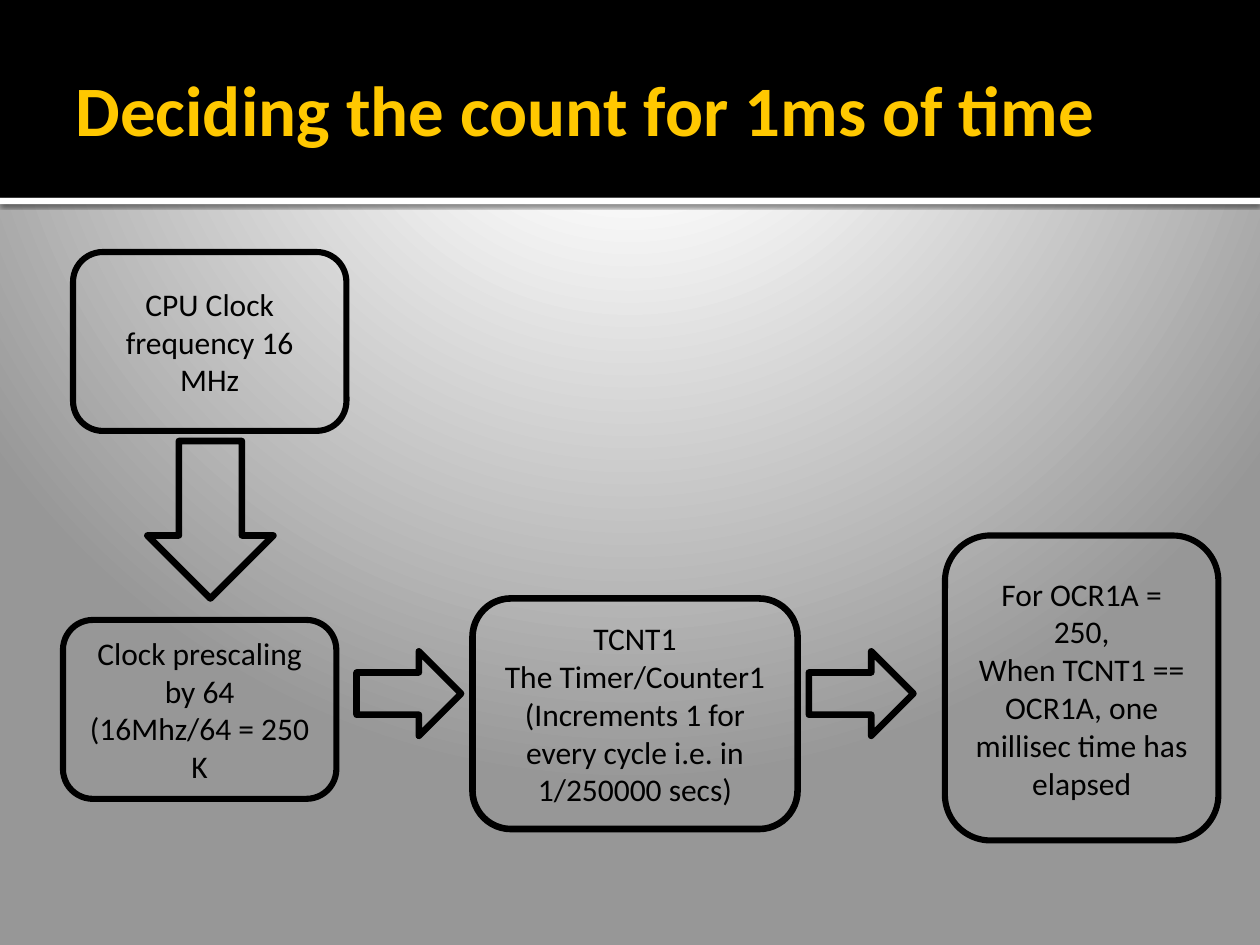
from pptx import Presentation
from pptx.dml.color import RGBColor
from pptx.enum.shapes import MSO_SHAPE as Shape
from pptx.enum.text import MSO_ANCHOR as Anchor, PP_ALIGN as Align
from pptx.oxml import parse_xml
from pptx.oxml.ns import nsdecls
from pptx.util import Inches, Pt

FONT = "Calibri"
BLACK, WHITE, GOLD, GREY = "000000", "FFFFFF", "FFC800", "979797"
HEADER_HEIGHT, STRIPE_HEIGHT = 1.57, 0.05

STEPS = [
    ((0.58, 2, 2.17, 1.42), 3.5, ["CPU Clock frequency 16 MHz"]),
    ((0.5, 4.92, 2.17, 1.42), 3.5,
     ["Clock prescaling by 64", "(16Mhz/64 = 250 K"]),
    ((3.75, 4.75, 2.58, 1.83), 3.78,
     ["TCNT1", "The Timer/Counter1",
      "(Increments 1 for every cycle i.e. in 1/250000 secs)"]),
    ((7.5, 4.25, 2.17, 2.42), 3.5,
     ["For OCR1A = 250,",
      "When TCNT1 == OCR1A, one millisec time has elapsed"]),
]
ARROWS = [
    (Shape.DOWN_ARROW, (1.17, 3.5, 1, 1.25)),
    (Shape.RIGHT_ARROW, (2.83, 5.17, 0.83, 0.67)),
    (Shape.RIGHT_ARROW, (6.42, 5.17, 0.83, 0.67)),
]


def color(value):
    return RGBColor.from_string(value)


def lengths(box):
    return [Inches(value) for value in box]


def format_text(frame, size, text_color, align, bold=False):
    frame.word_wrap = True
    frame.vertical_anchor = Anchor.MIDDLE
    for paragraph in frame.paragraphs:
        paragraph.alignment = align
        for run in paragraph.runs:
            run.font.name = FONT
            run.font.size = Pt(size)
            run.font.bold = bold
            run.font.color.rgb = color(text_color)


def paint_background(slide):
    stops = "".join(
        f'<a:gs pos="{percent * 1000}"><a:srgbClr val="{shade}"/></a:gs>'
        for percent, shade in [(0, WHITE), (20, WHITE), (100, GREY)])
    slide.element.cSld.insert(0, parse_xml(
        f'<p:bg {nsdecls("p", "a")}><p:bgPr><a:gradFill rotWithShape="1">'
        f'<a:gsLst>{stops}</a:gsLst><a:path path="circle">'
        '<a:fillToRect l="10000" t="-25000" r="10000" b="125000"/></a:path>'
        '</a:gradFill><a:effectLst/></p:bgPr></p:bg>'))


def add_band(slide, box, fill):
    band = slide.shapes.add_shape(Shape.RECTANGLE, *lengths(box))
    band.shadow.inherit = False
    band.fill.solid()
    band.fill.fore_color.rgb = color(fill)
    band.line.fill.background()
    slide.shapes.element.insert(2, band.element)
    return band


def add_header(slide, box, heading):
    left, top, width, height = box
    add_band(slide, box, BLACK)
    stripe = add_band(slide, (left, top + height, width, STRIPE_HEIGHT), WHITE)
    effects = stripe.element.spPr.find(
        "{http://schemas.openxmlformats.org/drawingml/2006/main}effectLst")
    effects.append(parse_xml(
        f'<a:outerShdw {nsdecls("a")} blurRad="{Pt(2.5)}" dist="{Pt(0.8)}" '
        f'dir="5400000" rotWithShape="0"><a:srgbClr val="{BLACK}">'
        '<a:alpha val="60000"/></a:srgbClr></a:outerShdw>'))

    title = slide.shapes.title
    title.left, title.top, title.width, title.height = lengths(
        (left + 0.5, top + 0.17, width - 1, height - 0.2))
    frame = title.text_frame
    frame.text = heading
    frame.margin_left = Inches(0.1)
    frame.margin_right = frame.margin_top = frame.margin_bottom = Inches(0.05)
    format_text(frame, 40.5, GOLD, Align.LEFT, bold=True)


def add_outline(slide, kind, box, weight):
    outline = slide.shapes.add_shape(kind, *lengths(box))
    outline.shadow.inherit = False
    outline.fill.background()
    outline.line.color.rgb = color(BLACK)
    outline.line.width = Pt(weight)
    return outline


def add_step(slide, box, weight, lines):
    step = add_outline(slide, Shape.ROUNDED_RECTANGLE, box, weight)
    step.text_frame.text = "\n".join(lines)
    format_text(step.text_frame, 18, BLACK, Align.CENTER)


def main():
    deck = Presentation()
    deck.slide_width, deck.slide_height = Inches(10), Inches(7.5)
    slide = deck.slides.add_slide(deck.slide_layouts[5])
    paint_background(slide)
    add_header(slide, (0, 0, 10, HEADER_HEIGHT),
               "Deciding the count for 1ms of time")
    for box, weight, lines in STEPS:
        add_step(slide, box, weight, lines)
    for kind, box in ARROWS:
        add_outline(slide, kind, box, 3.78)
    deck.save("out.pptx")


if __name__ == "__main__":
    main()
